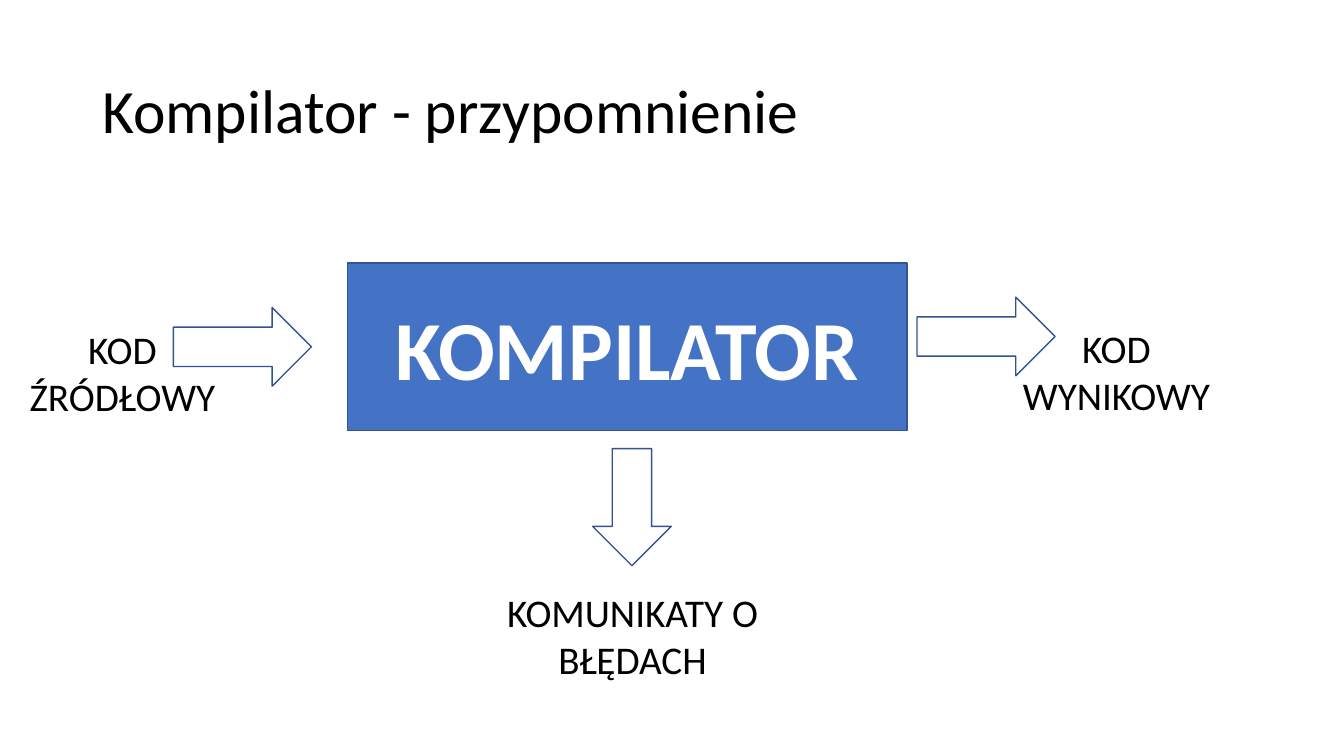
from dataclasses import dataclass

from pptx import Presentation
from pptx.dml.color import RGBColor
from pptx.enum.shapes import MSO_SHAPE
from pptx.enum.text import MSO_ANCHOR, MSO_AUTO_SIZE, PP_ALIGN
from pptx.util import Cm, Pt


@dataclass(frozen=True)
class Theme:
    font: str = "Calibri"
    text: str = "000000"
    inverse: str = "FFFFFF"
    box_fill: str = "4472C4"
    outline: str = "325491"
    outline_width: float = 1
    title_size: int = 44
    box_size: int = 60
    label_size: int = 28


THEME = Theme()
SLIDE_SIZE = (33.87, 19.05)

# Places are left, top, width, height in centimetres.
TITLE = ("Kompilator - przypomnienie", (2.33, 1.01, 29.21, 3.68))
COMPILER = ("KOMPILATOR", (8.76, 6.63, 14.1, 4.22))
ARROW_HEIGHT = 1.98
ARROWS = [  # left, top, length, rotation
    (23.11, 7.49, 3.48, 0),
    (4.37, 7.75, 3.48, 0),
    (14.45, 11.79, 2.95, 90),
]
LABEL_HEIGHT = 2.64
LABELS = [  # text, left, top, width
    ("KOD ŹRÓDŁOWY", -0.23, 8.08, 6.63),
    ("KOD WYNIKOWY", 25.25, 8.05, 5.77),
    ("KOMUNIKATY O BŁĘDACH", 12.42, 14.71, 7.04),
]


def lengths(place):
    return [Cm(value) for value in place]


def write(shape, text, *, size, color=THEME.text, bold=False,
          align=PP_ALIGN.CENTER, anchor=MSO_ANCHOR.TOP,
          line_spacing=None, auto_size=MSO_AUTO_SIZE.NONE):
    frame = shape.text_frame
    frame.word_wrap = True
    frame.auto_size = auto_size
    frame.vertical_anchor = anchor
    paragraph = frame.paragraphs[0]
    paragraph.alignment = align
    paragraph.line_spacing = line_spacing
    run = paragraph.add_run()
    run.text = text
    run.font.name = THEME.font
    run.font.size = Pt(size)
    run.font.bold = bold
    run.font.color.rgb = RGBColor.from_string(color)


def add_outlined(slide, kind, place, fill=None):
    """Add a preset shape with the theme outline; without fill it is hollow."""
    shape = slide.shapes.add_shape(kind, *lengths(place))
    shape.shadow.inherit = False
    if fill:
        shape.fill.solid()
        shape.fill.fore_color.rgb = RGBColor.from_string(fill)
    else:
        shape.fill.background()
    shape.line.color.rgb = RGBColor.from_string(THEME.outline)
    shape.line.width = Pt(THEME.outline_width)
    return shape


def main():
    presentation = Presentation()
    presentation.slide_width, presentation.slide_height = lengths(SLIDE_SIZE)
    slide = presentation.slides.add_slide(presentation.slide_layouts[6])

    text, place = TITLE
    write(slide.shapes.add_textbox(*lengths(place)), text,
          size=THEME.title_size, align=PP_ALIGN.LEFT,
          anchor=MSO_ANCHOR.MIDDLE, line_spacing=0.9)

    text, place = COMPILER
    write(add_outlined(slide, MSO_SHAPE.RECTANGLE, place, THEME.box_fill), text,
          size=THEME.box_size, color=THEME.inverse, bold=True,
          anchor=MSO_ANCHOR.MIDDLE)

    for left, top, length, rotation in ARROWS:
        arrow = add_outlined(slide, MSO_SHAPE.RIGHT_ARROW,
                             (left, top, length, ARROW_HEIGHT))
        arrow.rotation = rotation

    for text, left, top, width in LABELS:
        label = slide.shapes.add_textbox(*lengths((left, top, width, LABEL_HEIGHT)))
        write(label, text, size=THEME.label_size,
              auto_size=MSO_AUTO_SIZE.SHAPE_TO_FIT_TEXT)

    presentation.save("out.pptx")


if __name__ == "__main__":
    main()
